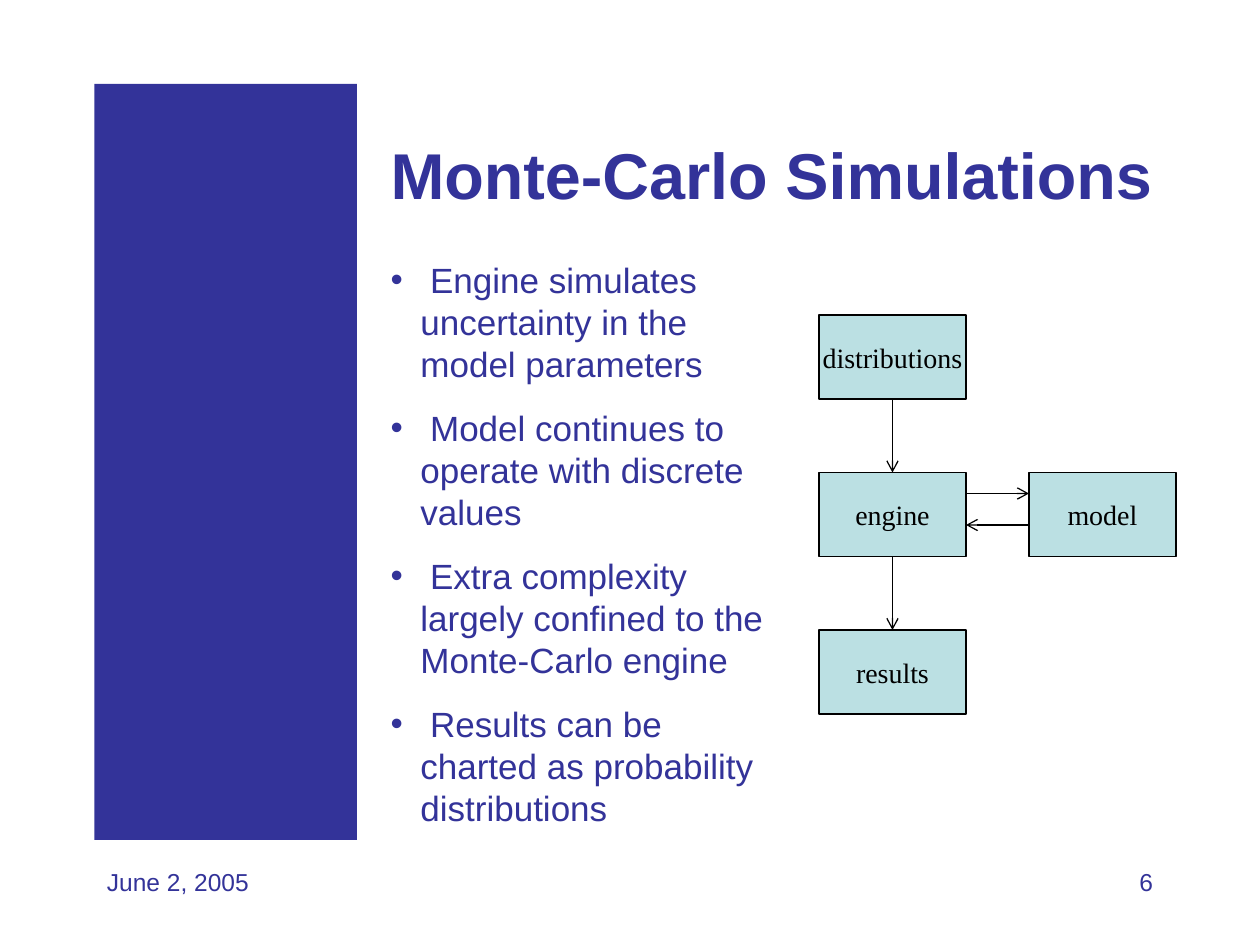
import pptx
import pptx.dml.color
import pptx.enum.shapes
import pptx.enum.text
import pptx.oxml
import pptx.util
from dataclasses import dataclass

Pt = pptx.util.Pt
RGB = pptx.dml.color.RGBColor.from_string
Align = pptx.enum.text.PP_ALIGN
Anchor = pptx.enum.text.MSO_ANCHOR
RECTANGLE = pptx.enum.shapes.MSO_SHAPE.RECTANGLE
STRAIGHT = pptx.enum.shapes.MSO_CONNECTOR.STRAIGHT
BOTTOM_SITE, TOP_SITE = 2, 0

# Content
TITLE = "Monte-Carlo Simulations"
POINTS = [
    " Engine simulates uncertainty in the model parameters",
    " Model continues to operate with discrete values",
    " Extra complexity largely confined to the Monte-Carlo engine",
    " Results can be charted as probability distributions",
]
STAGES = {  # name: (column, row)
    "distributions": (0, 0),
    "engine": (0, 1),
    "model": (1, 1),
    "results": (0, 2),
}
FLOWS = [("distributions", "engine"), ("engine", "results")]
DATE = "June 2, 2005"
PAGE = "6"

# Layout, in points: left, top, width, height
SIDEBAR = (54, 48, 150, 432)
TITLE_AREA = (216, 48, 462, 102)
POINTS_AREA = (216, 144, 234, 333)
DATE_AREA = (54, 492, 150, 36)
PAGE_AREA = (516, 492, 150, 36)
GRID_LEFT, GRID_TOP = 468, 180
COLUMN_STEP, ROW_STEP = 120, 90
STAGE_WIDTH, STAGE_HEIGHT = 84, 48
REQUEST_DROP, REPLY_DROP = 12, 30
BULLET_INDENT = 17


@dataclass(frozen=True)
class Theme:
    navy = RGB("333399")
    pale = RGB("BBE0E3")
    black = RGB("000000")
    line_width = Pt(0.75)
    title = dict(name="Arial", size=Pt(37), bold=True, color=navy)
    points = dict(name="Arial", size=Pt(20), color=navy)
    footer = dict(name="Arial", size=Pt(14), color=navy)
    stage = dict(name="Times New Roman", size=Pt(16), color=black)


THEME = Theme()


def points(*lengths):
    return [Pt(length) for length in lengths]


def place(placeholder, area):
    sides = ("left", "top", "width", "height")
    for side, length in zip(sides, points(*area)):
        setattr(placeholder, side, length)


def write(frame, lines, font, anchor=Anchor.TOP, wrap=True, bulleted=False, **layout):
    frame.auto_size = pptx.enum.text.MSO_AUTO_SIZE.NONE
    frame.word_wrap = wrap
    frame.vertical_anchor = anchor
    frame.text = "\n".join(lines)
    for number, paragraph in enumerate(frame.paragraphs):
        if bulleted:
            add_bullet(paragraph)
        for key, value in layout.items():
            if key != "space_before" or number > 0:
                setattr(paragraph, key, value)
            else:
                paragraph.space_before = Pt(0)
        for key, value in font.items():
            if key == "color":
                paragraph.font.color.rgb = value
            else:
                setattr(paragraph.font, key, value)


def add_xml(parent, tag, attributes=""):
    namespace = "http://schemas.openxmlformats.org/drawingml/2006/main"
    parent.append(pptx.oxml.parse_xml(f'<a:{tag} xmlns:a="{namespace}" {attributes}/>'))


def add_bullet(paragraph):
    properties = paragraph._p.get_or_add_pPr()
    properties.set("marL", str(Pt(BULLET_INDENT)))
    properties.set("indent", str(-Pt(BULLET_INDENT)))
    add_xml(properties, "buFont", 'typeface="Arial"')
    add_xml(properties, "buChar", 'char="•"')


def add_block(slide, area, fill):
    block = slide.shapes.add_shape(RECTANGLE, *points(*area))
    block.shadow.inherit = False
    block.fill.solid()
    block.fill.fore_color.rgb = fill
    return block


def add_stage(slide, label, column, row):
    left = GRID_LEFT + column * COLUMN_STEP
    top = GRID_TOP + row * ROW_STEP
    stage = add_block(slide, (left, top, STAGE_WIDTH, STAGE_HEIGHT), THEME.pale)
    stage.line.color.rgb = THEME.black
    stage.line.width = THEME.line_width
    write(stage.text_frame, [label], THEME.stage, Anchor.MIDDLE, wrap=False,
          alignment=Align.CENTER)
    return stage


def add_arrow(slide, start, end):
    arrow = slide.shapes.add_connector(STRAIGHT, *start, *end)
    arrow.line.color.rgb = THEME.black
    arrow.line.width = THEME.line_width
    add_xml(arrow.line._get_or_add_ln(), "tailEnd", 'type="arrow"')
    add_xml(arrow._element.spPr, "effectLst")
    return arrow


def main():
    deck = pptx.Presentation()
    deck.slide_width, deck.slide_height = points(720, 540)
    slide = deck.slides.add_slide(deck.slide_layouts[1])

    add_block(slide, SIDEBAR, THEME.navy).line.fill.background()

    title, body = slide.shapes.title, slide.placeholders[1]
    place(title, TITLE_AREA)
    write(title.text_frame, [TITLE], THEME.title, Anchor.MIDDLE, alignment=Align.LEFT)
    place(body, POINTS_AREA)
    write(body.text_frame, POINTS, THEME.points, bulleted=True, alignment=Align.LEFT,
          space_before=Pt(12.5), line_spacing=Pt(24))

    stages = {label: add_stage(slide, label, *cell) for label, cell in STAGES.items()}
    for source, target in FLOWS:
        upper, lower = stages[source], stages[target]
        middle = upper.left + upper.width // 2
        arrow = add_arrow(slide, (middle, upper.top + upper.height), (middle, lower.top))
        arrow.begin_connect(upper, BOTTOM_SITE)
        arrow.end_connect(lower, TOP_SITE)

    engine, model = stages["engine"], stages["model"]
    engine_edge = engine.left + engine.width
    request_y, reply_y = (engine.top + Pt(drop) for drop in (REQUEST_DROP, REPLY_DROP))
    add_arrow(slide, (engine_edge, request_y), (model.left, request_y))
    add_arrow(slide, (model.left, reply_y), (engine_edge, reply_y))

    for text, area, alignment in [
        (PAGE, PAGE_AREA, Align.RIGHT),
        (DATE, DATE_AREA, Align.LEFT),
    ]:
        footer = slide.shapes.add_textbox(*points(*area))
        write(footer.text_frame, [text], THEME.footer, alignment=alignment)

    deck.save("out.pptx")


if __name__ == "__main__":
    main()
